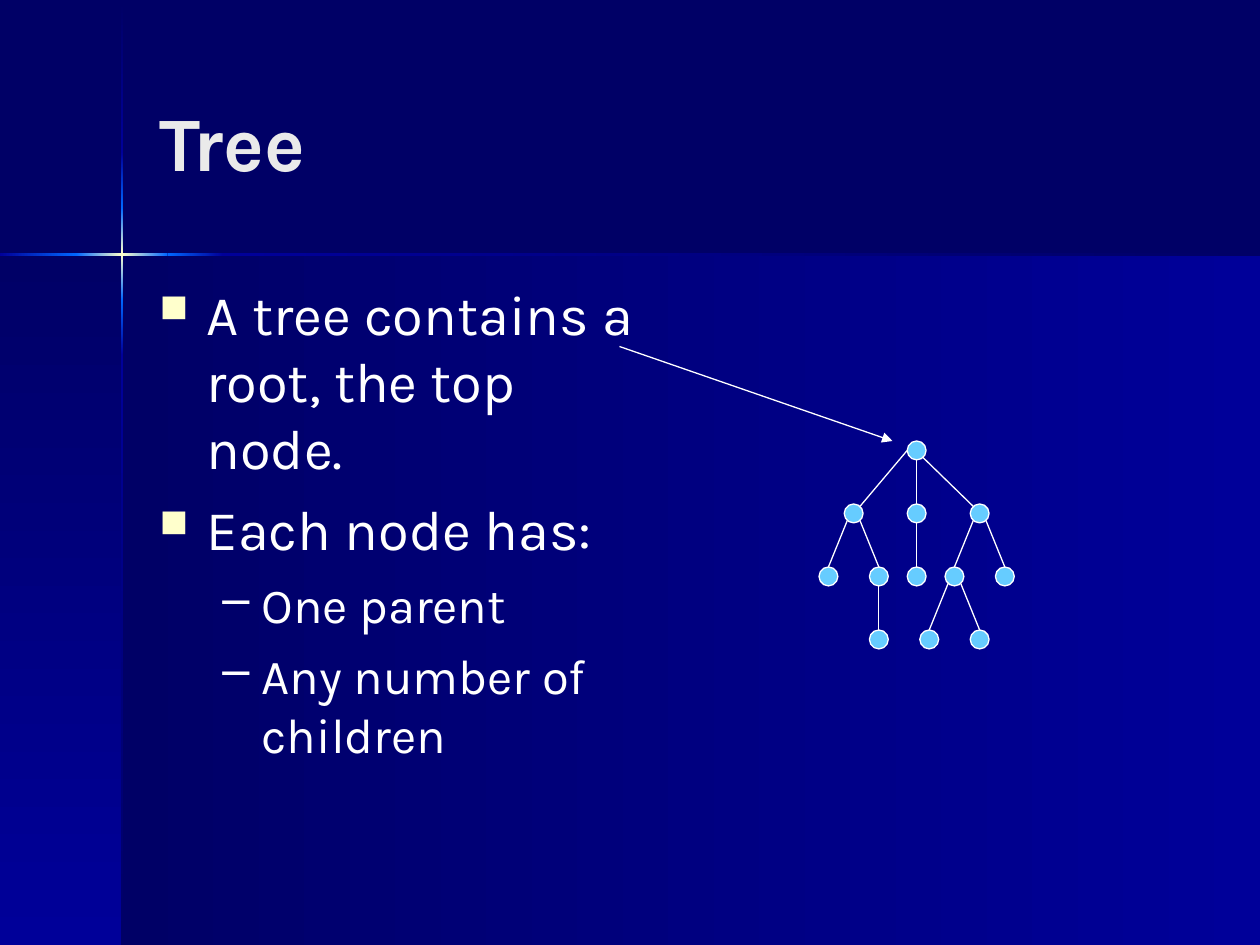
"""Build the Tree slide: a bulleted list beside a small tree diagram."""
import copy
import itertools
import pptx
import pptx.util
import pptx.dml.color
import pptx.enum.shapes
import pptx.enum.text
import pptx.oxml
import pptx.oxml.ns

Pt = pptx.util.Pt
qn = pptx.oxml.ns.qn
SHAPE = pptx.enum.shapes.MSO_SHAPE
NS = 'xmlns:a="http://schemas.openxmlformats.org/drawingml/2006/main"'
DARK, MID, GLOW, CREAM, WHITE = "000066", "000099", "0066FF", "FFFFCC", "FFFFFF"


def paint(color, value):
    color.rgb = pptx.dml.color.RGBColor.from_string(value)


def add_xml(parent, text):
    parent.append(pptx.oxml.parse_xml(text.replace(" ", f" {NS} ", 1)))


deck = pptx.Presentation()
deck.slide_width, deck.slide_height = Pt(720), Pt(540)
slide = deck.slides.add_slide(deck.slide_layouts[6])
slide.background.fill.solid()
paint(slide.background.fill.fore_color, DARK)
shapes = slide.shapes

bands = [
    (70, 145.4, 650, 394.6, 0, [DARK, MID]),
    (0, 145.4, 70, 394.6, 270, [DARK, MID]),
]
fades = [[DARK, MID], [MID, GLOW], [GLOW, CREAM, GLOW], [GLOW, MID], [MID, DARK]]
downs = itertools.pairwise([0.7, 87.1, 118.8, 171.4, 203, 540])
for (top, end), fade in zip(downs, fades):
    bands.append((69.1, top, 1.4, end - top, 270, fade))
across = itertools.pairwise([0, 43.5, 95.8, 127.4, 720])
for (left, end), fade in zip(across, fades[1:]):
    bands.append((left, 144.7, end - left, 1.4, 0, fade))

for left, top, width, height, angle, fade in bands:
    band = shapes.add_shape(SHAPE.RECTANGLE, Pt(left), Pt(top), Pt(width), Pt(height))
    band.shadow.inherit = False
    band.line.fill.background()
    band.fill.gradient()
    band.fill.gradient_angle = angle
    first = band._element.spPr.find(".//" + qn("a:gs"))
    if len(fade) == 3:
        first.addnext(copy.deepcopy(first))
    for place, (stop, color) in enumerate(zip(band.fill.gradient_stops, fade)):
        stop.position = place / (len(fade) - 1)
        paint(stop.color, color)

title = ("Tree", 44, "EAEAEA", True, 0, 0, 0, "")
items = [
    ("A tree contains a root, the top node.", 32, WHITE, False, 27, 27, 8, "■"),
    ("Each node has:", 32, WHITE, False, 27, 27, 8, "■"),
    ("One parent", 28, WHITE, False, 58.5, 22.5, 7, "–"),
    ("Any number of children", 28, WHITE, False, 58.5, 22.5, 7, "–"),
]
MIDDLE = pptx.enum.text.MSO_ANCHOR.MIDDLE
TOP = pptx.enum.text.MSO_ANCHOR.TOP
boxes = [(24, 594, 113, MIDDLE, [title]), (156, 291, 324, TOP, items)]
for top, width, height, anchor, lines in boxes:
    frame = shapes.add_textbox(Pt(84), Pt(top), Pt(width), Pt(height)).text_frame
    frame.word_wrap = True
    frame.vertical_anchor = anchor
    for count, (text, size, color, bold, left, hang, gap, mark) in enumerate(lines):
        para = frame.add_paragraph() if count else frame.paragraphs[0]
        para.space_before = Pt(gap)
        run = para.add_run()
        run.text = text
        run.font.name, run.font.size, run.font.bold = "Karla", Pt(size), bold
        paint(run.font.color, color)
        if mark:
            props = para._p.get_or_add_pPr()
            props.set("marL", str(Pt(left)))
            props.set("indent", str(-Pt(hang)))
            tint, scale = (CREAM, 70000) if mark == "■" else (WHITE, 100000)
            add_xml(props, f'<a:buClr ><a:srgbClr val="{tint}"/></a:buClr>')
            add_xml(props, f'<a:buSzPct val="{scale}"/>')
            add_xml(props, f'<a:buChar char="{mark}"/>')

rows = [[0], [-36, 0, 36], [-50.4, -21.6, 0, 21.6, 50.4], [-21.6, 7.2, 36]]
nodes = [(523.8 + x, 257.4 + 36 * level) for level, row in enumerate(rows) for x in row]
links = [(0, 1), (0, 2), (0, 3), (1, 4), (1, 5), (2, 6), (3, 7), (3, 8),
         (5, 9), (7, 10), (7, 11)]
radius = 5.4
lines = [(354, 198, 510, 252)]
for parent, child in links:
    (x1, y1), (x2, y2) = nodes[parent], nodes[child]
    side = (x2 > x1) - (x2 < x1)
    start = (x1 + 3.6 * side, y1 + (4 if side else radius))
    end = (x2, y2 - radius)
    if parent == 0 and side:
        end = (x2 - 3.6 * side, y2 - 4)
    if (parent, child) == (0, 1):
        start = (x1 - radius, y1)
    lines.append((*start, *end))

for count, ends in enumerate(lines):
    link = shapes.add_connector(
        pptx.enum.shapes.MSO_CONNECTOR.STRAIGHT, *[Pt(value) for value in ends])
    link.line.width = Pt(0.74)
    paint(link.line.color, WHITE)
    if count == 0:
        add_xml(link.line._get_or_add_ln(), '<a:tailEnd type="triangle"/>')
    add_xml(link._element.spPr, "<a:effectLst />")

for x, y in nodes:
    node = shapes.add_shape(
        SHAPE.OVAL, Pt(x - radius), Pt(y - radius), Pt(2 * radius), Pt(2 * radius))
    node.shadow.inherit = False
    node.fill.solid()
    paint(node.fill.fore_color, "66CCFF")
    node.line.width = Pt(0.74)
    paint(node.line.color, WHITE)

deck.save("out.pptx")
